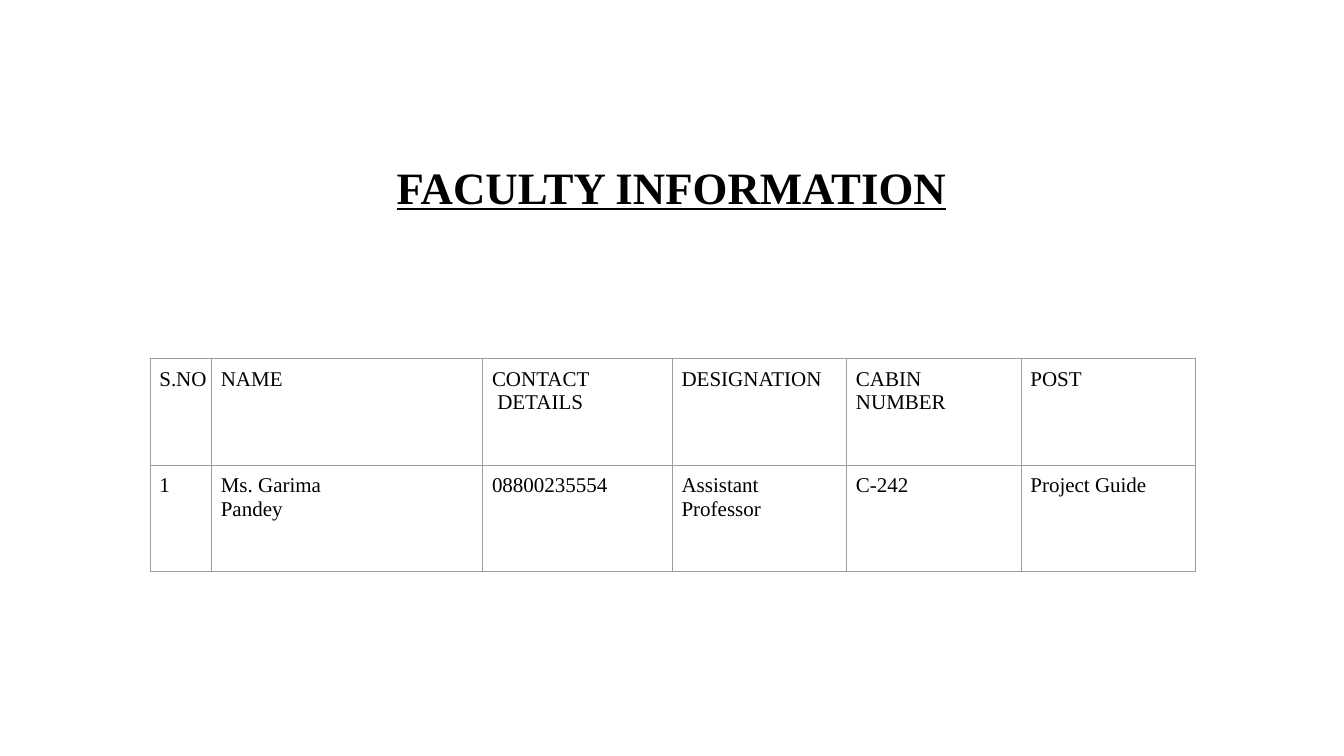
"""Build the faculty information slide."""
from lxml import etree
from pptx import Presentation
from pptx.dml.color import RGBColor
from pptx.enum import text
from pptx.oxml import ns
from pptx.util import Inches, Pt

FONT = "Times New Roman"
INK, GRID, PAPER = "000000", "9E9E9E", "FFFFFF"
HEADING = "FACULTY INFORMATION"
FACULTY = [
    ("S.NO", "NAME", "CONTACT\v DETAILS", "DESIGNATION", "CABIN\vNUMBER", "POST"),
    ("1", "Ms. Garima\vPandey", "08800235554", "Assistant\vProfessor", "C-242", "Project Guide"),
]
COLUMN_WIDTHS = (0.61, 2.69, 1.88, 1.73, 1.73, 1.73)
ROW_HEIGHT = 1.055
PADDING = 0.09


def color(value):
    return RGBColor.from_string(value)


def style(paragraph, size, bold=False, underline=False):
    for run in paragraph.runs:
        run.font.name = FONT
        run.font.size = Pt(size)
        run.font.bold = bold
        run.font.underline = underline
        run.font.color.rgb = color(INK)


def add_borders(cell):
    properties = cell._tc.get_or_add_tcPr()
    for index, side in enumerate(("lnL", "lnR", "lnT", "lnB")):
        border = etree.Element(ns.qn(f"a:{side}"), w=str(Pt(0.75)))
        fill = etree.SubElement(border, ns.qn("a:solidFill"))
        etree.SubElement(fill, ns.qn("a:srgbClr"), val=GRID)
        properties.insert(index, border)


def add_heading(slide):
    heading = slide.shapes.add_textbox(Inches(1.91), Inches(0.94), Inches(9.5), Inches(1.23))
    frame = heading.text_frame
    frame.word_wrap = True
    frame.vertical_anchor = text.MSO_ANCHOR.BOTTOM
    frame.text = HEADING
    paragraph = frame.paragraphs[0]
    paragraph.alignment = text.PP_ALIGN.CENTER
    paragraph.line_spacing = 0.9
    style(paragraph, 32, bold=True, underline=True)


def add_faculty(slide):
    table = slide.shapes.add_table(
        len(FACULTY), len(COLUMN_WIDTHS), Inches(1.49), Inches(3.56),
        Inches(sum(COLUMN_WIDTHS)), Inches(ROW_HEIGHT * len(FACULTY))).table
    table.first_row = table.horz_banding = False
    for column, width in zip(table.columns, COLUMN_WIDTHS):
        column.width = Inches(width)
    for row, entries in zip(table.rows, FACULTY):
        row.height = Inches(ROW_HEIGHT)
        for cell, entry in zip(row.cells, entries):
            cell.text = entry
            cell.margin_left = cell.margin_right = cell.margin_bottom = 0
            cell.margin_top = Inches(PADDING)
            cell.fill.solid()
            cell.fill.fore_color.rgb = color(PAPER)
            add_borders(cell)
            paragraph = cell.text_frame.paragraphs[0]
            indent = paragraph._p.get_or_add_pPr()
            indent.set("marL", str(Inches(PADDING)))
            indent.set("indent", "0")
            style(paragraph, 15)


def main():
    deck = Presentation()
    deck.slide_width, deck.slide_height = Inches(13.33), Inches(7.5)
    slide = deck.slides.add_slide(deck.slide_layouts[6])
    add_heading(slide)
    add_faculty(slide)
    deck.save("out.pptx")


if __name__ == "__main__":
    main()
